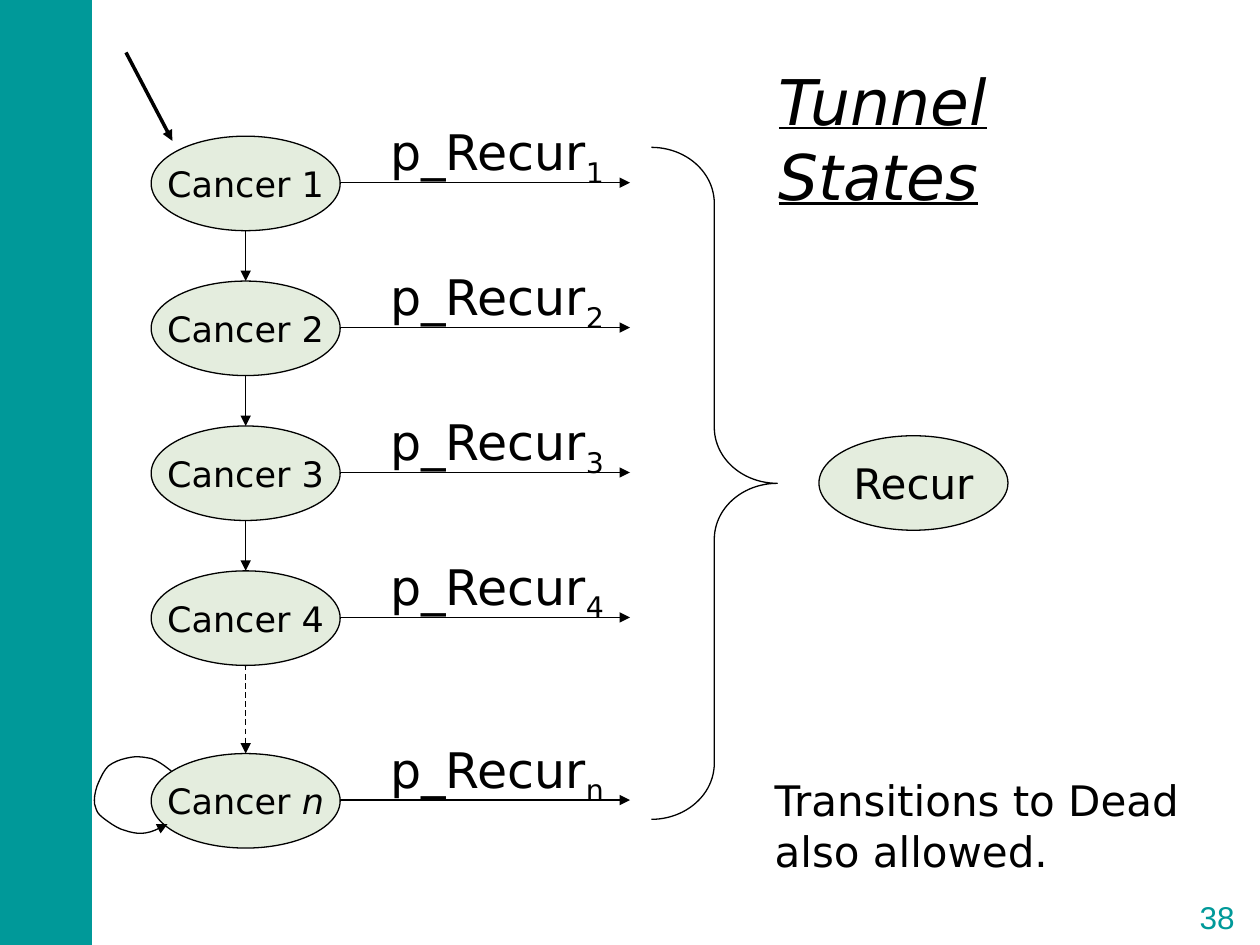
"""Build the Tunnel States slide: a chain of cancer states that can each recur."""
from math import comb

from lxml import etree
from pptx import Presentation
from pptx.dml.color import RGBColor
from pptx.enum.dml import MSO_LINE
from pptx.enum.shapes import MSO_CONNECTOR, MSO_SHAPE as SHAPE
from pptx.enum.text import MSO_ANCHOR as ANCHOR, MSO_AUTO_SIZE as AUTO, PP_ALIGN as ALIGN
from pptx.oxml.ns import qn
from pptx.util import Pt

THEME = {
    "ink": RGBColor.from_string("000000"),
    "teal": RGBColor.from_string("009999"),
    "green": RGBColor.from_string("4B8828"),
    "white": RGBColor.from_string("FFFFFF"),
    "font": "DejaVu Sans", "number_font": "Arial",
    "title": 36, "label": 28, "large": 24, "state": 20, "number": 18,
}


def write(shape, runs, size, align=ALIGN.LEFT, anchor=ANCHOR.TOP, wrap=False,
          font="font", color="ink"):
    tf = shape.text_frame
    for name, value in {"word_wrap": wrap, "vertical_anchor": anchor}.items():
        setattr(tf, name, value)
    p = tf.paragraphs[0]
    p.alignment = align
    for text, extra in runs:
        r = p.add_run()
        r.text = text
        r.font.color.rgb = THEME[color]
        for name, value in {"name": THEME[font], "size": Pt(THEME[size]), **extra}.items():
            setattr(r.font, name, value)
    return p


def outline(shape, width=0.75, color="ink", arrow=False):
    shape.line.color.rgb = THEME[color]
    shape.line.width = Pt(width)
    if arrow:
        etree.SubElement(shape.line._get_or_add_ln(), qn("a:tailEnd"), type="triangle")
    spPr = shape._element.spPr
    if spPr.find(qn("a:effectLst")) is None:
        etree.SubElement(spPr, qn("a:effectLst"))


prs = Presentation()
prs.slide_width, prs.slide_height = Pt(720), Pt(540)
s = prs.slides.add_slide(prs.slide_layouts[5])

bar = s.shapes.add_shape(SHAPE.RECTANGLE, 0, 0, Pt(52.5), Pt(540))
bar.shadow.inherit = False
bar.fill.solid()
bar.fill.fore_color.rgb = THEME["teal"]
bar.line.fill.background()

tops = [77.8 + 82.8 * i for i in range(4)] + [430.6]
names = ["1", "2", "3", "4", "n"]
states = [(86.4, top, [("Cancer ", {}), (name, {"italic": name == "n"})], "state")
          for top, name in zip(tops, names)]
for left, top, runs, size in states + [(468, 249, [("Recur", {})], "large")]:
    sp = s.shapes.add_shape(SHAPE.OVAL, Pt(left), Pt(top), Pt(108), Pt(54))
    sp.fill.solid()
    sp.fill.fore_color.rgb = THEME["green"]
    fill = sp._element.spPr.find(qn("a:solidFill"))
    etree.SubElement(fill[0], qn("a:alpha"), val="15000")
    outline(sp)
    write(sp, runs, size, ALIGN.CENTER, ANCHOR.MIDDLE)

steps = [(140.4, top + 54, 140.4, below, 0.75) for top, below in zip(tops, tops[1:])]
exits = [(194.4, top + 26.6, 360, top + 26.6, 0.75) for top in tops]
entry = (72, 30, 98.5, 80.5, 2)
for x1, y1, x2, y2, width in steps + exits + [entry]:
    line = s.shapes.add_connector(MSO_CONNECTOR.STRAIGHT, Pt(x1), Pt(y1), Pt(x2), Pt(y2))
    if (x1, y1, x2, y2, width) == steps[-1]:
        line.line.dash_style = MSO_LINE.DASH
    outline(line, width, arrow=True)

for top, name in zip(tops, names):
    box = s.shapes.add_textbox(Pt(216), Pt(top - 11.6), Pt(142.5), Pt(41))
    p = write(box, [("p_Recur", {}), (name, {})], "label")
    p.runs[1].font._element.set("baseline", "-25000")
    box.text_frame.auto_size = AUTO.SHAPE_TO_FIT_TEXT

loop = [(1.36, 6.12), (1.31, 6.08), (1.26, 6.04), (1.2, 6.02), (1.15, 6.01), (1.09, 6),
        (1.04, 6.01), (0.98, 6.02), (0.91, 6.04), (0.86, 6.08), (0.82, 6.12), (0.79, 6.19),
        (0.77, 6.24), (0.75, 6.3), (0.74, 6.37), (0.76, 6.41), (0.77, 6.45), (0.79, 6.47),
        (0.83, 6.5), (0.87, 6.53), (0.94, 6.58), (0.99, 6.59), (1.05, 6.61), (1.1, 6.62),
        (1.16, 6.61), (1.22, 6.6), (1.27, 6.57), (1.33, 6.54)]
curve = []
for i in range(0, len(loop) - 1, 3):
    for t in (0.2, 0.4, 0.6, 0.8, 1):
        weights = [comb(3, k) * t**k * (1 - t) ** (3 - k) for k in range(4)]
        curve.append([Pt(72 * sum(w * pt[axis] for w, pt in zip(weights, loop[i:i + 4])))
                      for axis in (0, 1)])
builder = s.shapes.build_freeform(Pt(72 * loop[0][0]), Pt(72 * loop[0][1]))
builder.add_line_segments(curve, close=False)
self_loop = builder.convert_to_shape()
self_loop.fill.background()
outline(self_loop, arrow=True)

brace = s.shapes.add_shape(SHAPE.RIGHT_BRACE, Pt(372.2), Pt(84.2), Pt(72), Pt(384))
brace.adjustments[0] = 0.83
brace.adjustments[0], brace.adjustments[1] = 0.444, 0.5
brace.fill.background()
outline(brace)

note = s.shapes.add_textbox(Pt(435.6), Pt(439.2), Pt(255.6), Pt(65.5))
write(note, [("Transitions to Dead also allowed.", {})], "large", wrap=True)
note.text_frame.auto_size = AUTO.SHAPE_TO_FIT_TEXT

title = s.shapes.title
for name, value in {"left": 437.8, "top": 32, "width": 236.2, "height": 94}.items():
    setattr(title, name, Pt(value))
write(title, [("Tunnel States", {"italic": True, "underline": True})], "title", wrap=True)
title.text_frame.auto_size = AUTO.NONE

number = s.shapes.add_shape(SHAPE.DOUBLE_BRACKET, Pt(674), Pt(508.3), Pt(43.2), Pt(31))
number.adjustments[0] = 0.18
number.fill.background()
outline(number, 1.5, "white")
for side in ("left", "top", "right", "bottom"):
    setattr(number.text_frame, f"margin_{side}", 0)
write(number, [("38", {})], "number", ALIGN.CENTER, ANCHOR.MIDDLE, True, "number_font", "teal")

prs.save("out.pptx")
